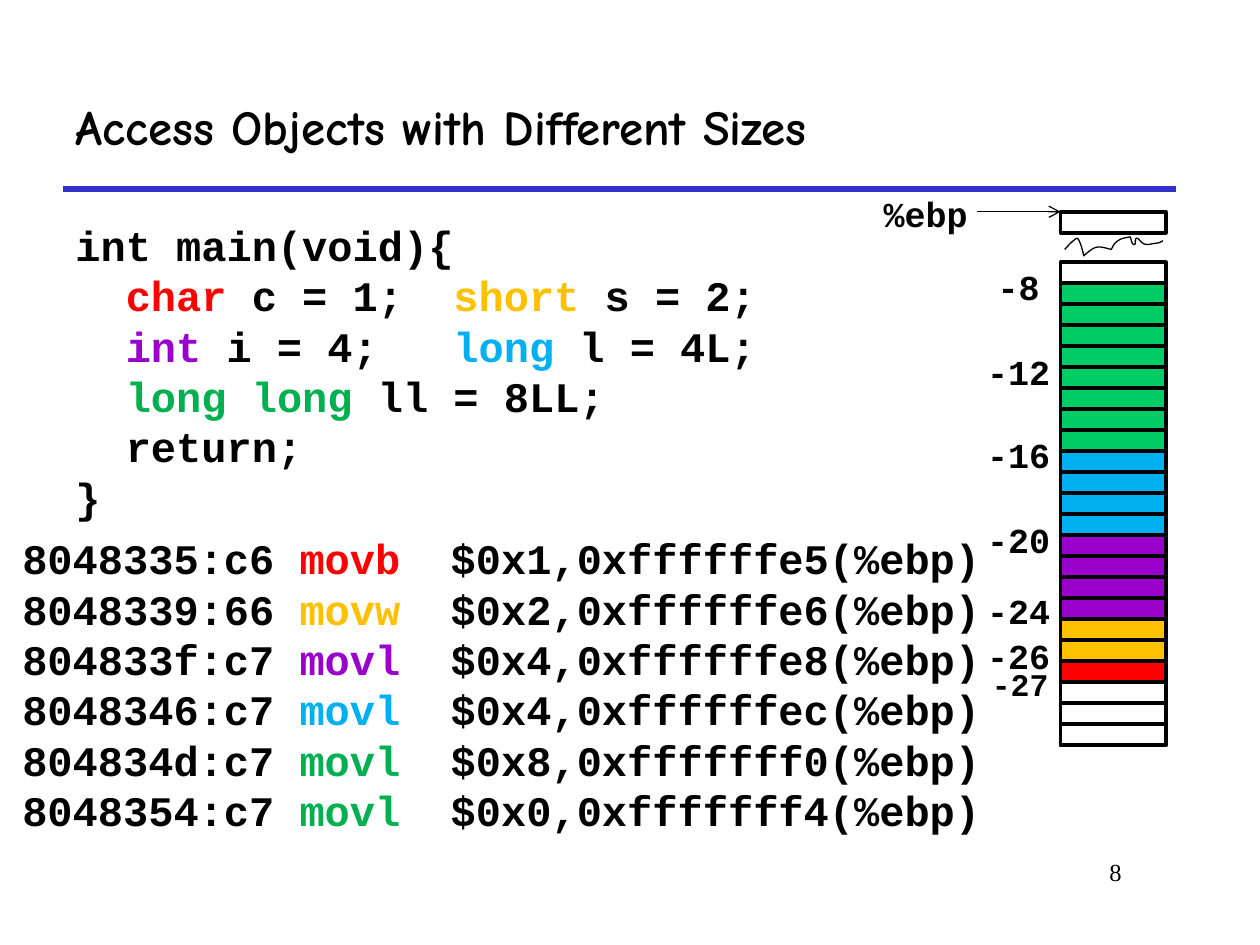
import pptx
import pptx.util
import pptx.dml.color
import pptx.enum.shapes
import pptx.enum.text
import pptx.oxml.ns
from dataclasses import dataclass
from lxml import etree

Cm = pptx.util.Cm
Pt = pptx.util.Pt
Align = pptx.enum.text.PP_ALIGN
Anchor = pptx.enum.text.MSO_ANCHOR
qn = pptx.oxml.ns.qn

HEX = {
    "black": "000000", "white": "FFFFFF", "rule": "3333CC", "red": "FF0000",
    "gold": "FFC000", "purple": "9900CC", "blue": "00B0F0",
    "green": "00B050", "mint": "00CC66",
}
MONO = "Courier New"
CELL_X, CELL_W, CELL_H = 21.38, 2.12, 2.54 / 6
STACK_Y, EBP_Y = 5.29, 4.27


@dataclass
class Run:
    text: str
    color: str = "black"


@dataclass
class Band:
    color: str
    count: int


@dataclass
class Label:
    text: str
    top: float
    left: float = 18.21
    width: float = 4.65
    size: int = 20


BANDS = [Band("white", 1), Band("mint", 8), Band("blue", 4), Band("purple", 4),
         Band("gold", 2), Band("red", 1), Band("white", 3)]

LABELS = [Label("-8", 5.11), Label("-12", 6.81), Label("-16", 8.48),
          Label("-20", 10.21), Label("-24", 11.63), Label("-26", 12.55),
          Label("-27", 13.16, left=18.24, size=18),
          Label("%ebp", 3.63, left=17.35, width=2.62)]

SOURCE = [
    [Run("int main(void){")],
    [Run("  "), Run("char ", "red"), Run("c = 1;  "),
     Run("short ", "gold"), Run("s = 2;")],
    [Run("  "), Run("int ", "purple"), Run("i = 4;   "),
     Run("long ", "blue"), Run("l = 4L;")],
    [Run("  "), Run("long long ", "green"), Run("ll = 8LL;")],
    [Run("  return;")],
    [Run("}")],
]

MOVES = [
    ("8048335:c6 ", "movb", "red", "  $0x1,0xffffffe5(%ebp)"),
    ("8048339:66 ", "movw", "gold", "  $0x2,0xffffffe6(%ebp)"),
    ("804833f:c7 ", "movl", "purple", "  $0x4,0xffffffe8(%ebp)"),
    ("8048346:c7 ", "movl", "blue", "  $0x4,0xffffffec(%ebp)"),
    ("804834d:c7 ", "movl", "green", "  $0x8,0xfffffff0(%ebp)"),
    ("8048354:c7 ", "movl", "green", "  $0x0,0xfffffff4(%ebp)"),
]

# Start of the squiggle, then two controls and an end per curve, in inches
START = (8.45, 1.98)
CURVES = [
    (8.45, 1.98, 8.53, 1.89, 8.55, 1.89), (8.57, 1.9, 8.6, 2.01, 8.6, 2.03),
    (8.63, 2.01, 8.67, 1.96, 8.72, 1.96), (8.75, 1.96, 8.78, 1.97, 8.82, 1.98),
    (8.83, 1.96, 8.84, 1.94, 8.85, 1.93), (8.89, 1.89, 8.92, 1.89, 8.97, 1.88),
    (8.98, 1.9, 8.98, 1.94, 9, 1.94), (9.02, 1.95, 9, 1.9, 9.02, 1.89),
    (9.04, 1.89, 9.05, 1.92, 9.07, 1.93), (9.08, 1.94, 9.1, 1.94, 9.12, 1.94),
    (9.21, 1.92, 9.18, 1.94, 9.23, 1.91),
]


def tint(name: str) -> pptx.dml.color.RGBColor:
    return pptx.dml.color.RGBColor.from_string(HEX[name])


def write(slide, lines: list, left: float, top: float, width: float,
          height: float, size: int, font: str = MONO, bold: bool = True,
          align=Align.LEFT, anchor=Anchor.TOP) -> None:
    """Add a text box; each line is a list of runs."""
    box = slide.shapes.add_textbox(Cm(left), Cm(top), Cm(width), Cm(height))
    frame = box.text_frame
    frame.word_wrap = True
    frame.vertical_anchor = anchor
    if font == MONO:
        frame.margin_top, frame.margin_bottom = Cm(0.25), 0
    for row, line in enumerate(lines):
        para = frame.paragraphs[0] if row == 0 else frame.add_paragraph()
        para.alignment = align
        if font == MONO:
            para.line_spacing = Pt(1.2 * size)
        for part in line:
            run = para.add_run()
            run.text = part.text
            run.font.name = font
            run.font.size = Pt(size)
            run.font.bold = bold
            run.font.color.rgb = tint(part.color)


def draw_line(slide, start: tuple, end: tuple, color: str, weight: float,
              arrow: bool = False) -> None:
    line = slide.shapes.add_connector(
        pptx.enum.shapes.MSO_CONNECTOR.STRAIGHT,
        Cm(start[0]), Cm(start[1]), Cm(end[0]), Cm(end[1]))
    line.line.color.rgb = tint(color)
    line.line.width = Pt(weight)
    props = line._element.spPr
    if arrow:
        etree.SubElement(props.find(qn("a:ln")), qn("a:tailEnd"), type="arrow")
    etree.SubElement(props, qn("a:effectLst"))


def draw_cell(slide, top: float, color: str) -> None:
    cell = slide.shapes.add_shape(
        pptx.enum.shapes.MSO_SHAPE.RECTANGLE,
        Cm(CELL_X), Cm(top), Cm(CELL_W), Cm(CELL_H))
    cell.shadow.inherit = False
    cell.fill.solid()
    cell.fill.fore_color.rgb = tint(color)
    cell.line.color.rgb = tint("black")
    cell.line.width = Pt(2.25)


def trace(start: tuple, curves: list, steps: int = 6) -> list:
    """Return points along a chain of cubic curves."""
    points = [start]
    for ax, ay, bx, by, ex, ey in curves:
        sx, sy = points[-1]
        for step in range(1, steps + 1):
            t = step / steps
            u = 1 - t
            mix = (u ** 3, 3 * u * u * t, 3 * u * t * t, t ** 3)
            points.append((sum(m * x for m, x in zip(mix, (sx, ax, bx, ex))),
                           sum(m * y for m, y in zip(mix, (sy, ay, by, ey)))))
    return points


def draw_gap(slide) -> None:
    """Draw the squiggle that marks skipped memory."""
    points = [(Cm(x * 2.54), Cm(y * 2.54)) for x, y in trace(START, CURVES)]
    pen = slide.shapes.build_freeform(*points[0])
    pen.add_line_segments(points[1:], close=False)
    curve = pen.convert_to_shape()
    curve.shadow.inherit = False
    curve.fill.background()
    curve.line.color.rgb = tint("black")
    curve.line.width = Pt(0.75)


def main() -> None:
    deck = pptx.Presentation()
    deck.slide_width, deck.slide_height = Cm(25.4), Cm(19.05)
    slide = deck.slides.add_slide(deck.slide_layouts[6])

    draw_line(slide, (1.27, 3.81), (23.7, 3.81), "rule", 3)
    write(slide, [[Run("8")]], 19.25, 17.15, 3.61, 1.27, 14,
          font="Times New Roman", bold=False, align=Align.RIGHT)
    write(slide, [[Run("Access Objects with Different Sizes")]],
          1.27, 1.27, 22.43, 2.54, 28, font="Comic Neue", anchor=Anchor.MIDDLE)
    write(slide, SOURCE, 1.27, 4.17, 21.39, 6.35, 24)
    moves = [[Run(code), Run(name, color), Run(args)]
             for code, name, color, args in MOVES]
    write(slide, moves, 0.2, 10.49, 20.12, 6.35, 24)

    colors = [band.color for band in BANDS for _ in range(band.count)]
    for row, color in enumerate(colors):
        draw_cell(slide, STACK_Y + row * CELL_H, color)
    for tag in LABELS:
        write(slide, [[Run(tag.text)]], tag.left, tag.top, tag.width, 1.11,
              tag.size, align=Align.CENTER)

    draw_gap(slide)
    draw_cell(slide, EBP_Y, "white")
    draw_line(slide, (19.69, EBP_Y), (CELL_X, EBP_Y), "black", 0.75, arrow=True)
    deck.save("out.pptx")


if __name__ == "__main__":
    main()
